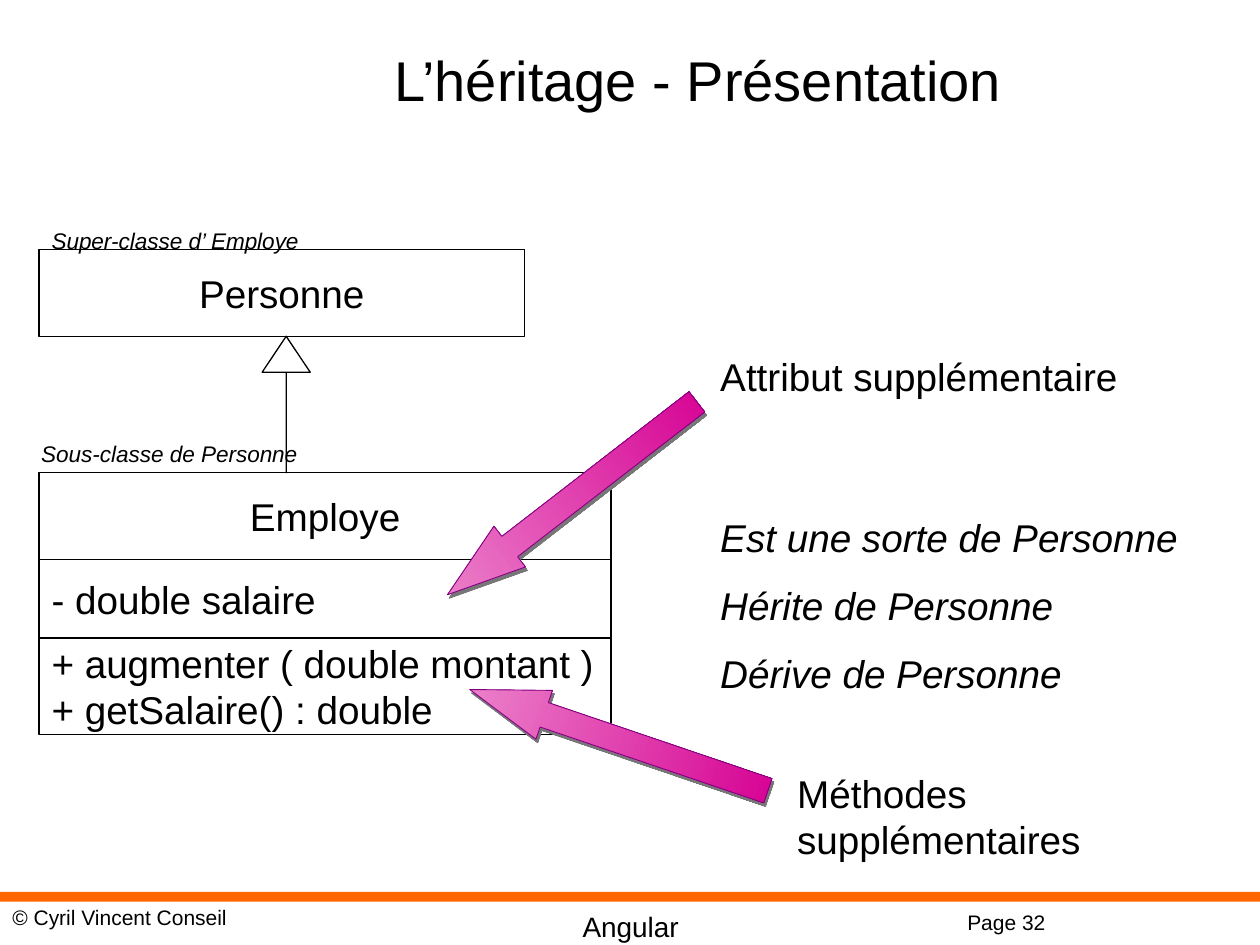
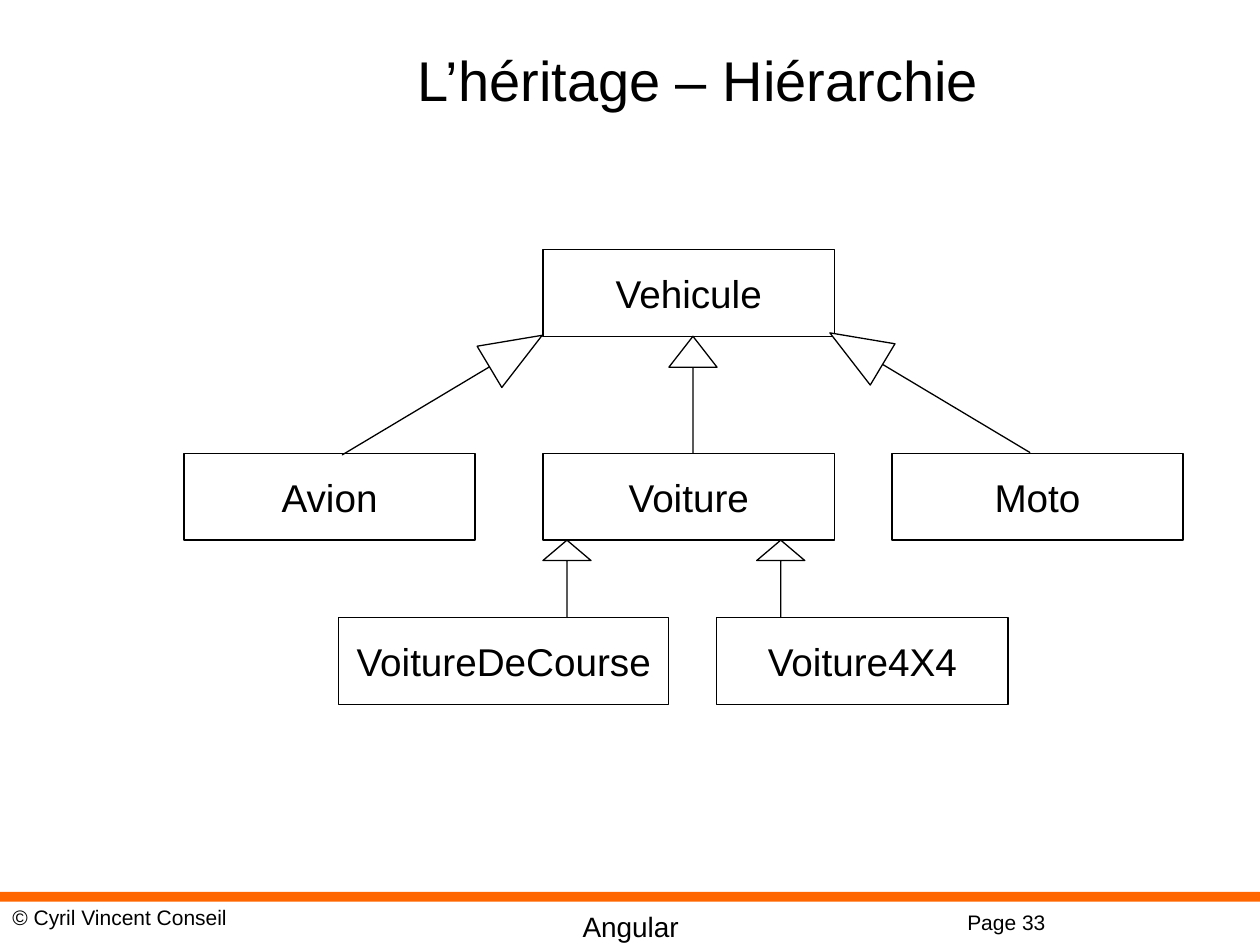
from math import atan2, degrees, hypot

from lxml.etree import SubElement
from pptx import Presentation
from pptx.dml.color import RGBColor
from pptx.enum.shapes import MSO_SHAPE
from pptx.enum.text import MSO_ANCHOR, PP_ALIGN
from pptx.oxml.ns import qn
from pptx.util import Cm, Pt

BLACK = RGBColor(0x00, 0x00, 0x00)
WHITE = RGBColor(0xFF, 0xFF, 0xFF)
ORANGE = RGBColor(0xFF, 0x66, 0x00)
PINK = RGBColor(0xEC, 0x86, 0xCC)
MAGENTA = RGBColor(0xD6, 0x00, 0x93)
PURPLE = RGBColor(0x80, 0x00, 0x80)
SHADOW = "777777"

FONT = "Arial"
BODY, NOTE = 22.1, 12.9
BOX_H = 1.75
CENTER, LEFT = PP_ALIGN.CENTER, PP_ALIGN.LEFT

# Positions and sizes in centimetres: left, top, width, height.
BAND = (0, 17.98, 25.4, 0.2)
TITLE_AT = (3.28, 0, 21.59, 3.18)
PAGE_AT = (19.25, 18.21, 3.38, 0.76)
FOOTERS = [
    ("Angular", (6.15, 18.21, 13.13, 0.94), 16, CENTER),
    ("© Cyril Vincent Conseil", (0, 18.11, 9.53, 0.76), 12, LEFT),
]

# Inheritance and callout arrows run from a tail point to a tip point.
SLIDES = [
    {
        "title": "L’héritage - Présentation",
        "page": 32,
        "boxes": [
            (["Personne"], (0.79, 5.03, 9.78, BOX_H), CENTER),
            (["Employe"], (0.79, 9.53, 11.53, BOX_H), CENTER),
            (["- double salaire"], (0.79, 11.28, 11.53, 1.58), LEFT),
            (["+ augmenter ( double montant )", "+ getSalaire() : double"],
             (0.79, 12.86, 11.53, 1.95), LEFT),
        ],
        "inherits": [((5.77, 9.53), (5.77, 6.78))],
        "callouts": [((14.05, 8.1), (9.02, 11.99)),
                     ((15.48, 15.94), (9.47, 13.9))],
        "texts": [
            (["Est une sorte de Personne", "Hérite de Personne", "Dérive de Personne"],
             (14.27, 10.24, 9.78, 4.98), BODY, True),
            (["Attribut supplémentaire"], (14.27, 6.99, 9.78, 1.19), BODY, False),
            (["Méthodes supplémentaires"], (15.82, 15.39, 8.99, 2.16), BODY, False),
            (["Super-classe d’ Employe"], (0.79, 4.45, 9.78, 0.81), NOTE, True),
            (["Sous-classe de Personne"], (0.58, 8.74, 9.78, 0.81), NOTE, True),
        ],
    },
    {
        "title": "L’héritage – Hiérarchie",
        "page": 33,
        "boxes": [
            (["Vehicule"], (10.95, 5.03, 5.87, BOX_H), CENTER),
            (["Avion"], (3.71, 9.14, 5.87, BOX_H), CENTER),
            (["Moto"], (17.98, 9.14, 5.87, BOX_H), CENTER),
            (["Voiture"], (10.95, 9.14, 5.87, BOX_H), CENTER),
            (["VoitureDeCourse"], (6.83, 12.45, 6.65, BOX_H), CENTER),
            (["Voiture4X4"], (14.45, 12.45, 5.87, BOX_H), CENTER),
        ],
        "inherits": [
            ((13.97, 9.14), (13.97, 6.78)),
            ((6.9, 9.17), (10.93, 6.76)),
            ((20.76, 9.12), (16.73, 6.71)),
            ((11.43, 12.45), (11.43, 10.89)),
            ((15.74, 12.45), (15.74, 10.89)),
        ],
        "callouts": [],
        "texts": [],
    },
]


def write(tf, lines, size, align=LEFT, italic=False, gap=0):
    font = {"name": FONT, "size": Pt(size), "italic": italic}
    for i, line in enumerate(lines):
        p = tf.add_paragraph() if i else tf.paragraphs[0]
        p.alignment = align
        if i and gap:
            p.space_before = Pt(gap)
        r = p.add_run()
        r.text = line
        for name, value in font.items():
            setattr(r.font, name, value)
        r.font.color.rgb = BLACK


def add_text(s, lines, at, size, align=LEFT, italic=False, anchor=MSO_ANCHOR.TOP):
    tf = s.shapes.add_textbox(*map(Cm, at)).text_frame
    tf.word_wrap = True
    tf.vertical_anchor = anchor
    write(tf, lines, size, align, italic, gap=12.3)


def add_plain_shape(s, kind, at, fill=WHITE, line=BLACK, width=0.75):
    """Add a shape without shadow; no line when line is None."""
    sp = s.shapes.add_shape(kind, *map(Cm, at))
    sp.shadow.inherit = False
    sp.fill.solid()
    sp.fill.fore_color.rgb = fill
    if line is None:
        sp.line.fill.background()
    else:
        sp.line.color.rgb = line
        sp.line.width = Pt(width)
    return sp


def add_box(s, lines, at, align):
    tf = add_plain_shape(s, MSO_SHAPE.RECTANGLE, at).text_frame
    tf.word_wrap = False
    tf.vertical_anchor = MSO_ANCHOR.MIDDLE
    write(tf, lines, BODY, align)


def add_inherit(s, tail, tip):
    """Add a UML generalisation: a thin stem with an open triangular head."""
    (x0, y0), (x1, y1) = tail, tip
    length, thick = hypot(x1 - x0, y1 - y0), 0.97
    at = ((x0 + x1 - thick) / 2, (y0 + y1 - length) / 2, thick, length)
    sp = add_plain_shape(s, MSO_SHAPE.UP_ARROW, at)
    sp.rotation = degrees(atan2(x1 - x0, y0 - y1))
    sp.adjustments[0] = 0
    sp.adjustments[1] = 0.264 * length / thick


def add_callout(s, tail, tip):
    """Add a block arrow with a gradient and a hard shadow."""
    (x0, y0), (x1, y1) = tail, tip
    length, thick = hypot(x1 - x0, y1 - y0), 1.04
    at = ((x0 + x1 - length) / 2, (y0 + y1 - thick) / 2, length, thick)
    sp = add_plain_shape(s, MSO_SHAPE.LEFT_ARROW, at, line=PURPLE, width=0.5)
    sp.rotation = degrees(atan2(y0 - y1, x0 - x1))
    sp.adjustments[0] = 0.5
    sp.adjustments[1] = 0.25 * length / thick
    sp.fill.gradient()
    sp.fill.gradient_angle = 0
    for stop, color in zip(sp.fill.gradient_stops, (PINK, MAGENTA)):
        stop.color.rgb = color
    effects = sp._element.spPr.find(qn("a:effectLst"))
    shadow = SubElement(effects, qn("a:outerShdw"), blurRad="0", dist=str(Pt(2.2)),
                        dir=str(63 * 60000), algn="ctr", rotWithShape="0")
    SubElement(shadow, qn("a:srgbClr"), val=SHADOW)


def add_frame(s, title, page):
    """Add what every slide shares: band, footers and title."""
    add_plain_shape(s, MSO_SHAPE.RECTANGLE, BAND, ORANGE, None)
    add_text(s, [f"Page {page}"], PAGE_AT, 12)
    for text, at, size, align in FOOTERS:
        add_text(s, [text], at, size, align)
    add_text(s, [title], TITLE_AT, 32, CENTER, anchor=MSO_ANCHOR.MIDDLE)


def main():
    prs = Presentation()
    prs.slide_width, prs.slide_height = Cm(25.4), Cm(19.05)
    for content in SLIDES:
        s = prs.slides.add_slide(prs.slide_layouts[6])
        add_frame(s, content["title"], content["page"])
        for key, add in (("boxes", add_box), ("inherits", add_inherit),
                         ("callouts", add_callout)):
            for item in content[key]:
                add(s, *item)
        for lines, at, size, italic in content["texts"]:
            add_text(s, lines, at, size, italic=italic)
    prs.save("out.pptx")


if __name__ == "__main__":
    main()
